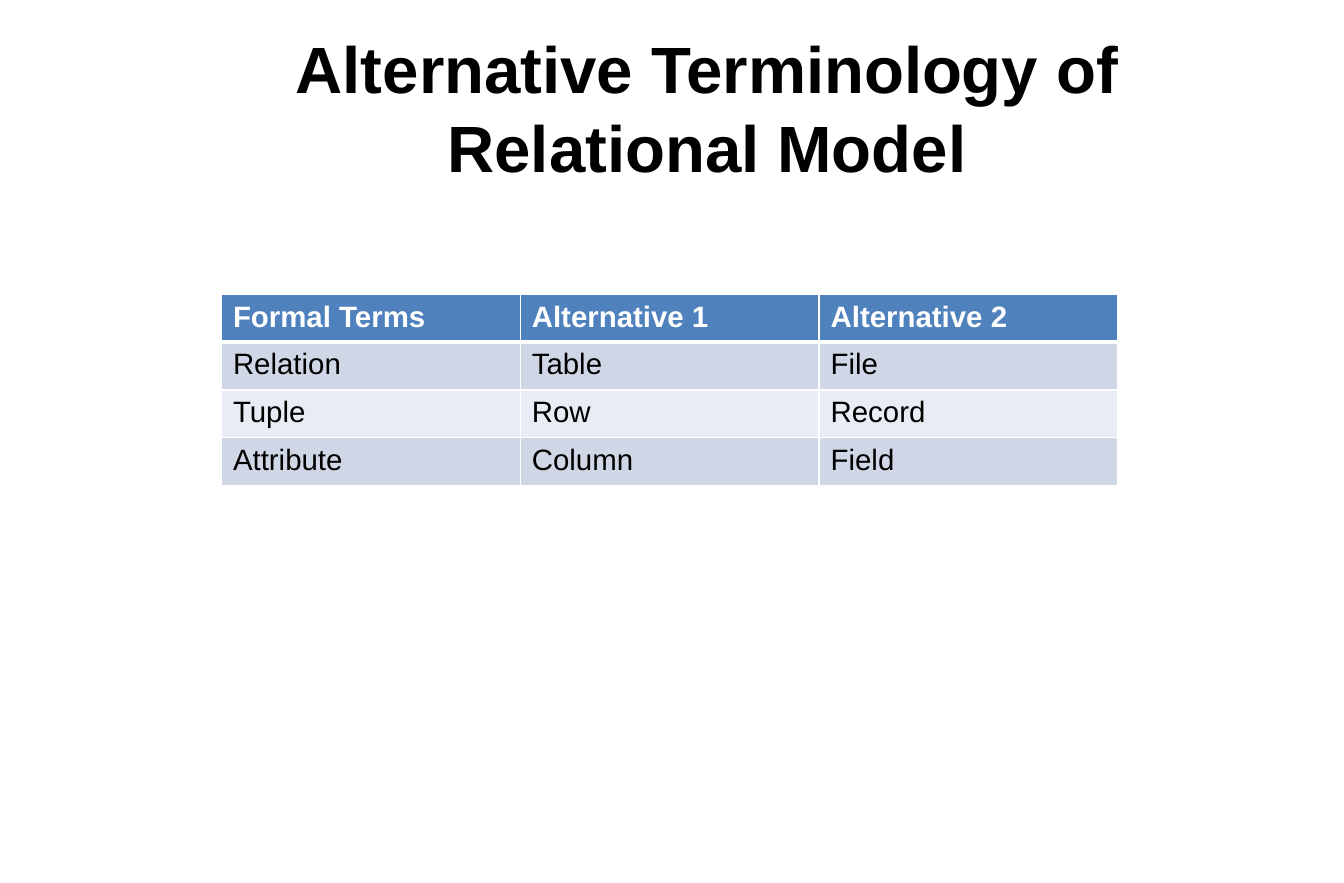
from pptx import Presentation
from pptx.dml.color import RGBColor
from pptx.enum.text import MSO_ANCHOR, PP_ALIGN
from pptx.oxml.ns import qn
from pptx.util import Cm, Pt
from lxml import etree

CENTER, LEFT = PP_ALIGN.CENTER, PP_ALIGN.LEFT
TOP = MSO_ANCHOR.TOP

BLACK, WHITE = "000000", "FFFFFF"
HEADER, BAND_DARK, BAND_LIGHT = "4F81BD", "CFD7E7", "E8ECF4"

TERMS = [
    ("Formal Terms", "Alternative 1", "Alternative 2"),
    ("Relation", "Table", "File"),
    ("Tuple", "Row", "Record"),
    ("Attribute", "Column", "Field"),
]


def rgb(value):
    return RGBColor.from_string(value)


class Deck:
    font = "Arial"

    def __init__(self, width, height):
        self.prs = Presentation()
        self.prs.slide_width, self.prs.slide_height = Cm(width), Cm(height)
        self.s = self.prs.slides.add_slide(self.prs.slide_layouts[6])

    def run(self, p, text, size, color, bold=False):
        r = p.add_run()
        r.text = text
        r.font.name, r.font.size, r.font.bold = self.font, Pt(size), bold
        r.font.color.rgb = rgb(color)

    def title(self, text, x, y, w, h):
        sp = self.s.shapes.add_textbox(Cm(x), Cm(y), Cm(w), Cm(h))
        tf = sp.text_frame
        tf.word_wrap, tf.vertical_anchor = True, TOP
        tf.margin_left = tf.margin_right = tf.margin_bottom = 0
        tf.margin_top = Cm(0.08)
        p = tf.paragraphs[0]
        p.alignment, p.line_spacing = CENTER, Pt(48)
        self.run(p, text, 40, BLACK, bold=True)

    def border(self, cell, side, width, color=WHITE):
        tc_pr = cell._tc.get_or_add_tcPr()
        ln = etree.SubElement(tc_pr, qn(f"a:ln{side}"), w=str(Pt(width)))
        fill = etree.SubElement(ln, qn("a:solidFill"))
        etree.SubElement(fill, qn("a:srgbClr"), val=color)

    def table(self, rows, x, y, col_w, row_h):
        n_rows, n_cols = len(rows), len(rows[0])
        table = self.s.shapes.add_table(
            n_rows, n_cols, Cm(x), Cm(y), Cm(col_w * n_cols), Cm(row_h * n_rows)
        ).table
        for column in table.columns:
            column.width = Cm(col_w)
        for i, row in enumerate(rows):
            table.rows[i].height = Cm(row_h)
            is_header = i == 0
            fill = HEADER if is_header else (BAND_LIGHT, BAND_DARK)[i % 2]
            for j, text in enumerate(row):
                cell = table.cell(i, j)
                # Borders come before the fill; a thick rule follows the header
                for side in "LRTB":
                    thick = (side == "B" and i == 0) or (side == "T" and i == 1)
                    self.border(cell, side, 3 if thick else 1)
                cell.fill.solid()
                cell.fill.fore_color.rgb = rgb(fill)
                cell.margin_left = cell.margin_right = Cm(0.25)
                cell.margin_top = cell.margin_bottom = Cm(0.13)
                p = cell.text_frame.paragraphs[0]
                p.alignment = LEFT
                self.run(p, text, 18, WHITE if is_header else BLACK, is_header)


def main():
    deck = Deck(29.01, 19.05)
    # Heading
    deck.title("Alternative Terminology of Relational Model", 4.78, 0.53, 20.96, 3.43)
    # Terminology table
    deck.table(TERMS, 4.78, 6.35, 6.45, 1.03)
    deck.prs.save("out.pptx")


if __name__ == "__main__":
    main()
